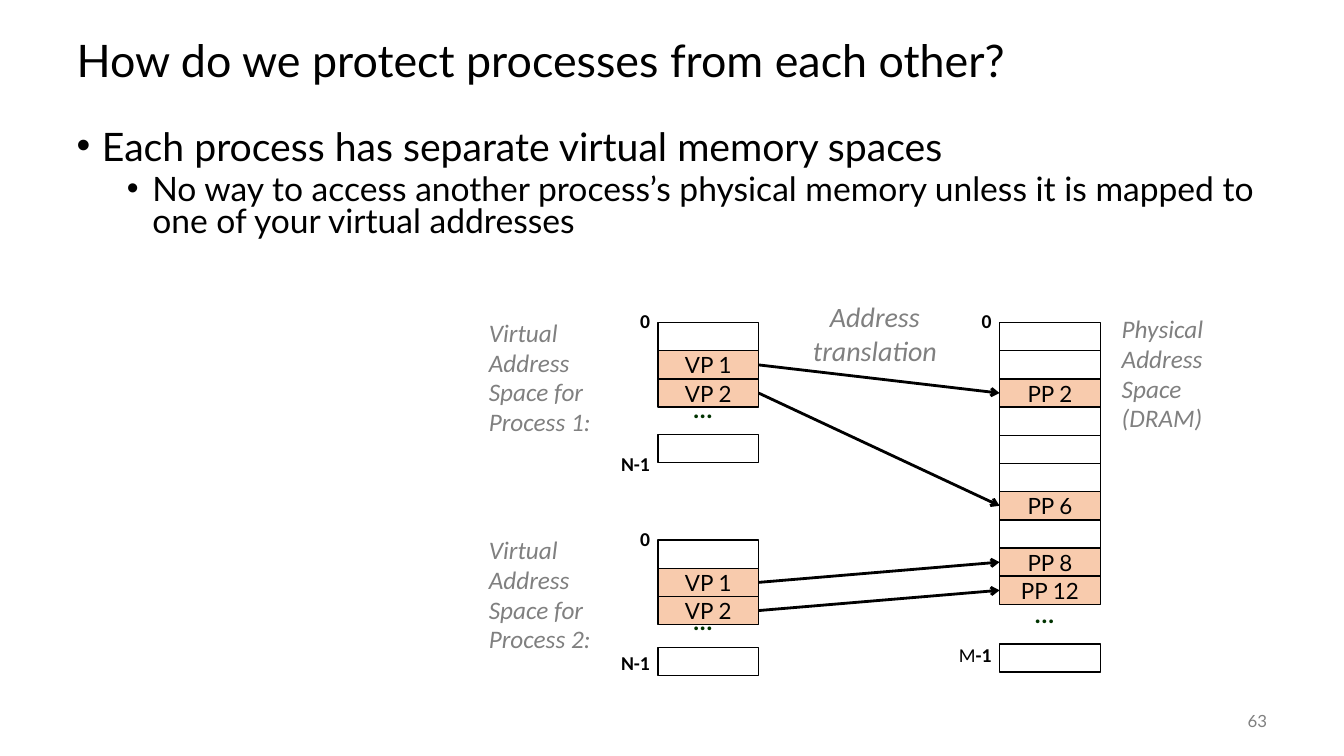
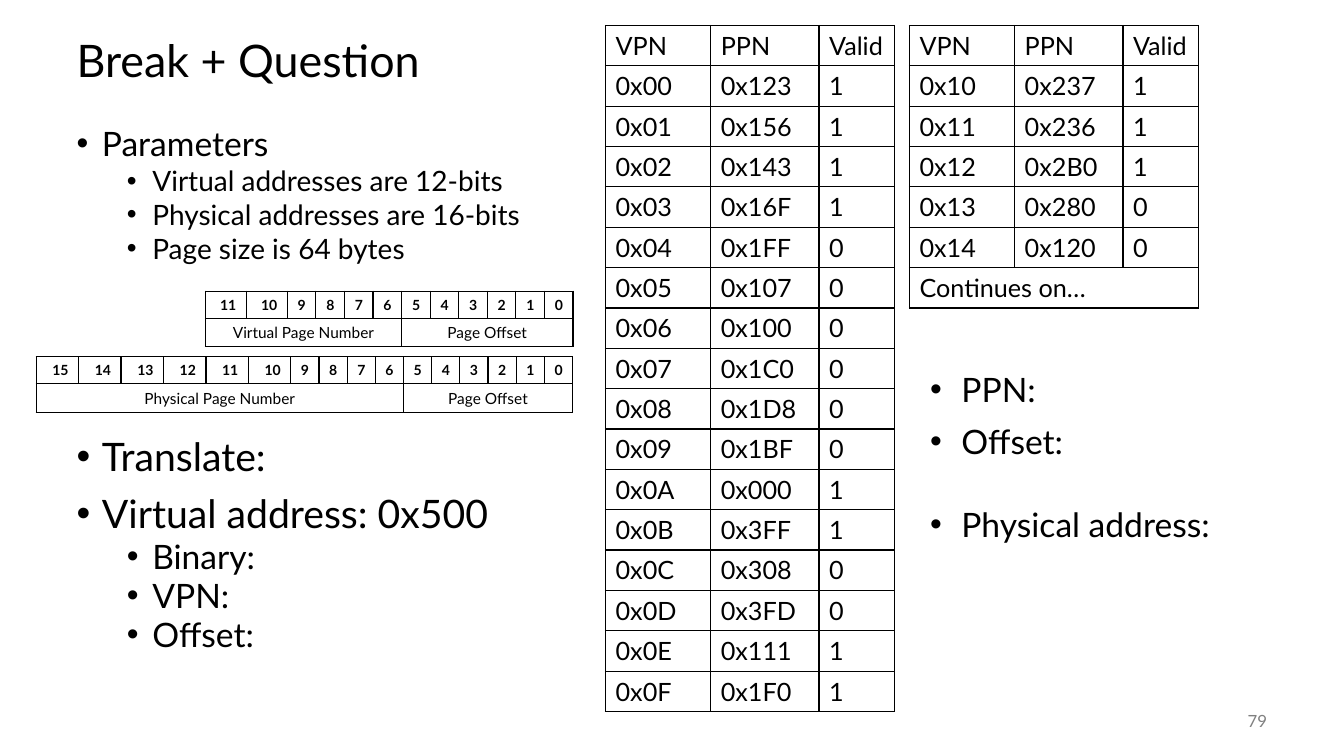
from dataclasses import dataclass, replace
from typing import Any

import lxml.etree
import pptx
import pptx.dml.color
import pptx.enum.shapes
import pptx.enum.text
import pptx.oxml.ns
import pptx.util

Cm = pptx.util.Cm
Pt = pptx.util.Pt
qn = pptx.oxml.ns.qn
ALIGN = pptx.enum.text.PP_ALIGN
MIDDLE = pptx.enum.text.MSO_ANCHOR.MIDDLE

BLACK, GREY, GREEN, PEACH = "000000", "808080", "003300", "F8CBAD"
PAGE_W, PAGE_H = 2.54, 0.71
PROC_X, DRAM_X = 16.58, 25.19


@dataclass(frozen=True)
class Look:
    size: float
    font: str = "Lato"
    color: str = BLACK
    bold: bool = False
    slant: bool = False


@dataclass(frozen=True)
class Para:
    runs: list[tuple[str, Look]]
    form: dict[str, Any]
    indent: tuple[float, float] | None = None


@dataclass(frozen=True)
class Box:
    left: float
    top: float
    width: float
    height: float


@dataclass(frozen=True)
class Stack:
    left: float
    top: float
    pages: list[str]
    last: float
    dots: float
    end: float
    tag: list[tuple[str, Look]]

    def middle(self, index: int) -> float:
        return self.top + (index + 0.5) * PAGE_H


TITLE = Look(32)
NUMBER = Look(12, color=GREY)
PAGE = Look(16)
NOTE = Look(18, "Calibri", GREY, slant=True)
ARROW = replace(NOTE, size=20)
BOUND = Look(14, "Calibri", bold=True)
DOTS = Look(18, "Calibri", GREEN, bold=True)
CELL = Look(18)
BIT = Look(10, bold=True)
FIELD = Look(11)


def rgb(code: str) -> pptx.dml.color.RGBColor:
    return pptx.dml.color.RGBColor.from_string(code)


def put(item: Any, form: dict[str, Any]) -> None:
    for name, value in form.items():
        setattr(item, name, value)


def place(box: Box) -> tuple[Any, ...]:
    return Cm(box.left), Cm(box.top), Cm(box.width), Cm(box.height)


def write(frame: Any, paras: list[Para]) -> None:
    for index, para in enumerate(paras):
        line = frame.paragraphs[0] if index == 0 else frame.add_paragraph()
        put(line, para.form)
        if index == 0:
            line.space_before = Pt(0)
        if para.indent:
            props = line._p.get_or_add_pPr()
            left, hang = para.indent
            props.set("marL", str(Cm(left)))
            props.set("indent", str(-Cm(hang)))
            lxml.etree.SubElement(props, qn("a:buFont")).set("typeface", "Arial")
            lxml.etree.SubElement(props, qn("a:buChar")).set("char", "•")
        for text, look in para.runs:
            run = line.add_run()
            run.text = text
            put(run.font, {"name": look.font, "size": Pt(look.size),
                           "bold": look.bold, "italic": look.slant})
            run.font.color.rgb = rgb(look.color)


def plain(text: str, look: Look, **form: Any) -> Para:
    return Para([(text, look)], form)


def bullet(text: str, size: float, level: int = 0) -> Para:
    form = {"level": level, "line_spacing": 0.8, "space_before": Pt(5 if level else 14)}
    return Para([(text, Look(size))], form, (0.64 + 1.27 * level, 0.64))


def answer(text: str, gap: float) -> Para:
    return Para([(text, Look(24))], {"space_before": Pt(gap)}, (0.79, 0.79))


def add_text(slide: Any, box: Box, paras: list[Para], **form: Any) -> None:
    frame = slide.shapes.add_textbox(*place(box)).text_frame
    put(frame, {"word_wrap": True, **form})
    write(frame, paras)


def add_slide(deck: Any, title: str, number: str) -> Any:
    slide = deck.slides.add_slide(deck.slide_layouts[6])
    add_text(slide, Box(1.68, 0.64, 30.48, 1.9),
             [plain(title, TITLE, line_spacing=0.9)], vertical_anchor=MIDDLE)
    add_text(slide, Box(29.64, 17.65, 2.54, 1.02),
             [plain(number, NUMBER, alignment=ALIGN.RIGHT)], vertical_anchor=MIDDLE)
    return slide


def add_page(slide: Any, left: float, top: float, name: str = "") -> None:
    kind = pptx.enum.shapes.MSO_SHAPE.RECTANGLE
    page = slide.shapes.add_shape(kind, *place(Box(left, top, PAGE_W, PAGE_H)))
    page.shadow.inherit = False
    page.line.color.rgb = rgb(BLACK)
    page.line.width = Pt(1)
    if name:
        page.fill.solid()
        page.fill.fore_color.rgb = rgb(PEACH)
        page.text_frame.vertical_anchor = MIDDLE
        write(page.text_frame, [plain(name, PAGE, alignment=ALIGN.CENTER)])
    else:
        page.fill.background()


def add_bound(slide: Any, left: float, top: float, runs: list[tuple[str, Look]]) -> None:
    form = {"line_spacing": 0.98, "alignment": ALIGN.RIGHT}
    add_text(slide, Box(left - 1.95, top, 2, 0.84), [Para(runs, form)])


def add_stack(slide: Any, stack: Stack) -> None:
    for index, name in enumerate(stack.pages):
        add_page(slide, stack.left, stack.top + index * PAGE_H, name)
    add_page(slide, stack.left, stack.last)
    add_text(slide, Box(stack.left + 0.63, stack.dots, 1.02, 0.91),
             [plain("...", DOTS, line_spacing=0.88)], word_wrap=False)
    add_bound(slide, stack.left, stack.top - 0.43, [("0", BOUND)])
    add_bound(slide, stack.left, stack.end, stack.tag)


def add_arrow(slide: Any, left: float, start: float, right: float, stop: float) -> None:
    kind = pptx.enum.shapes.MSO_CONNECTOR.STRAIGHT
    arrow = slide.shapes.add_connector(kind, Cm(left), Cm(start), Cm(right), Cm(stop))
    arrow.line.color.rgb = rgb(BLACK)
    arrow.line.width = Pt(2)
    props = arrow.element.spPr
    lxml.etree.SubElement(props.find(qn("a:ln")), qn("a:tailEnd")).set("type", "arrow")
    lxml.etree.SubElement(props, qn("a:effectLst"))


def frame_cell(cell: Any) -> None:
    cell.fill.background()
    props = cell._tc.get_or_add_tcPr()
    for index, side in enumerate(("lnL", "lnR", "lnT", "lnB")):
        edge = lxml.etree.Element(qn(f"a:{side}"), w=str(Pt(1)))
        paint = lxml.etree.SubElement(edge, qn("a:solidFill"))
        lxml.etree.SubElement(paint, qn("a:srgbClr")).set("val", BLACK)
        props.insert(index, edge)


def add_grid(slide: Any, left: float, top: float, widths: list[float],
             heights: list[float]) -> Any:
    box = Box(left, top, sum(widths), sum(heights))
    grid = slide.shapes.add_table(len(heights), len(widths), *place(box)).table
    put(grid, {"first_row": False, "horz_banding": False})
    for col, width in zip(grid.columns, widths):
        col.width = Cm(width)
    for row, height in zip(grid.rows, heights):
        row.height = Cm(height)
    for cell in grid.iter_cells():
        frame_cell(cell)
    return grid


def add_map(slide: Any, left: float, first: int, pairs: list[str], more: str = "") -> None:
    rows = [["VPN", "PPN", "Valid"]]
    rows += [[f"0x{first + index:02X}", *pair.split()] for index, pair in enumerate(pairs)]
    if more:
        rows.append([more])
    grid = add_grid(slide, left, 0.64, [2.65, 2.73, 1.9], [1.01] * len(rows))
    for y, row in enumerate(rows):
        for x, text in enumerate(row):
            write(grid.cell(y, x).text_frame, [plain(text, CELL)])
    if more:
        grid.cell(len(rows) - 1, 0).merge(grid.cell(len(rows) - 1, 2))


def add_bits(slide: Any, left: float, top: float, name: str, count: int,
             wide: float, slim: float) -> None:
    widths = [wide] * (count - 10) + [slim] * 10
    grid = add_grid(slide, left, top, widths, [0.56, 0.58])
    for x in range(count):
        write(grid.cell(0, x).text_frame,
              [plain(str(count - 1 - x), BIT, alignment=ALIGN.RIGHT)])
    split = count - 6
    for text, start, stop in ((name, 0, split - 1), ("Page Offset", split, count - 1)):
        grid.cell(1, start).merge(grid.cell(1, stop))
        write(grid.cell(1, start).text_frame, [plain(text, FIELD, alignment=ALIGN.CENTER)])


def draw_guard(deck: Any) -> None:
    slide = add_slide(deck, "How do we protect processes from each other?", "63")
    add_text(slide, Box(1.68, 3.18, 30.48, 3.25), [
        bullet("Each process has separate virtual memory spaces", 28),
        bullet("No way to access another process’s physical memory unless it is "
               "mapped to one of your virtual addresses", 24, 1)])

    names = ["", "VP 1", "VP 2"]
    last = [("N-1", BOUND)]
    one = Stack(PROC_X, 8.13, names, 10.95, 9.88, 11.3, last)
    two = Stack(PROC_X, 13.61, names, 16.31, 15.24, 16.31, last)
    dram = Stack(DRAM_X, 8.13, ["", "", "PP 2", "", "", "", "PP 6", "", "PP 8", "PP 12"],
                 16.23, 15.04, 16.1, [("M", replace(BOUND, bold=False)), ("-1", BOUND)])
    for stack in (one, two, dram):
        add_stack(slide, stack)
    for index, stack in enumerate((one, two), 1):
        add_text(slide, Box(12.07, stack.top - 0.22, 3.81, 3.25),
                 [plain(f"Virtual Address Space for Process {index}:", NOTE,
                        line_spacing=0.98)])
    add_text(slide, Box(28.02, 7.82, 2.97, 3.28),
             [plain(text, NOTE, line_spacing=0.98)
              for text in ("Physical", "Address", "Space (DRAM)")])
    for stack, page, slot in ((one, 1, 2), (one, 2, 6), (two, 1, 8), (two, 2, 9)):
        add_arrow(slide, PROC_X + PAGE_W, stack.middle(page), DRAM_X, dram.middle(slot))
    add_text(slide, Box(20.17, 7.42, 3.76, 1.96),
             [plain(text, ARROW, alignment=ALIGN.CENTER)
              for text in ("Address", "translation")], word_wrap=False)


def draw_quiz(deck: Any) -> None:
    slide = add_slide(deck, "Break + Question", "79")
    add_text(slide, Box(1.68, 3.18, 13.2, 3.8), [
        bullet("Parameters", 24),
        bullet("Virtual addresses are 12-bits", 20, 1),
        bullet("Physical addresses are 16-bits", 20, 1),
        bullet("Page size is 64 bytes", 20, 1)])
    add_text(slide, Box(1.68, 11, 13.2, 6.15), [
        bullet("Translate:", 28),
        bullet("Virtual address: 0x500", 28),
        *(bullet(text, 24, 1) for text in ("Binary:", "VPN:", "Offset:"))])
    add_map(slide, 15.26, 0x00, [
        "0x123 1", "0x156 1", "0x143 1", "0x16F 1", "0x1FF 0", "0x107 0", "0x100 0",
        "0x1C0 0", "0x1D8 0", "0x1BF 0", "0x000 1", "0x3FF 1", "0x308 0", "0x3FD 0",
        "0x111 1", "0x1F0 1"])
    add_map(slide, 22.92, 0x10, ["0x237 1", "0x236 1", "0x2B0 1", "0x280 0", "0x120 0"],
            "Continues on…")
    add_text(slide, Box(23.19, 9.17, 9.68, 4.7), [
        answer("PPN:", 0), answer("Offset:", 8.5), answer("Physical address:", 30.5)])
    add_bits(slide, 5.18, 7.34, "Virtual Page Number", 12, 1.03, 0.72)
    add_bits(slide, 0.91, 8.99, "Physical Page Number", 16, 1.07, 0.71)


def main() -> None:
    deck = pptx.Presentation()
    put(deck, {"slide_width": Cm(33.87), "slide_height": Cm(19.05)})
    draw_guard(deck)
    draw_quiz(deck)
    deck.save("out.pptx")


if __name__ == "__main__":
    main()
